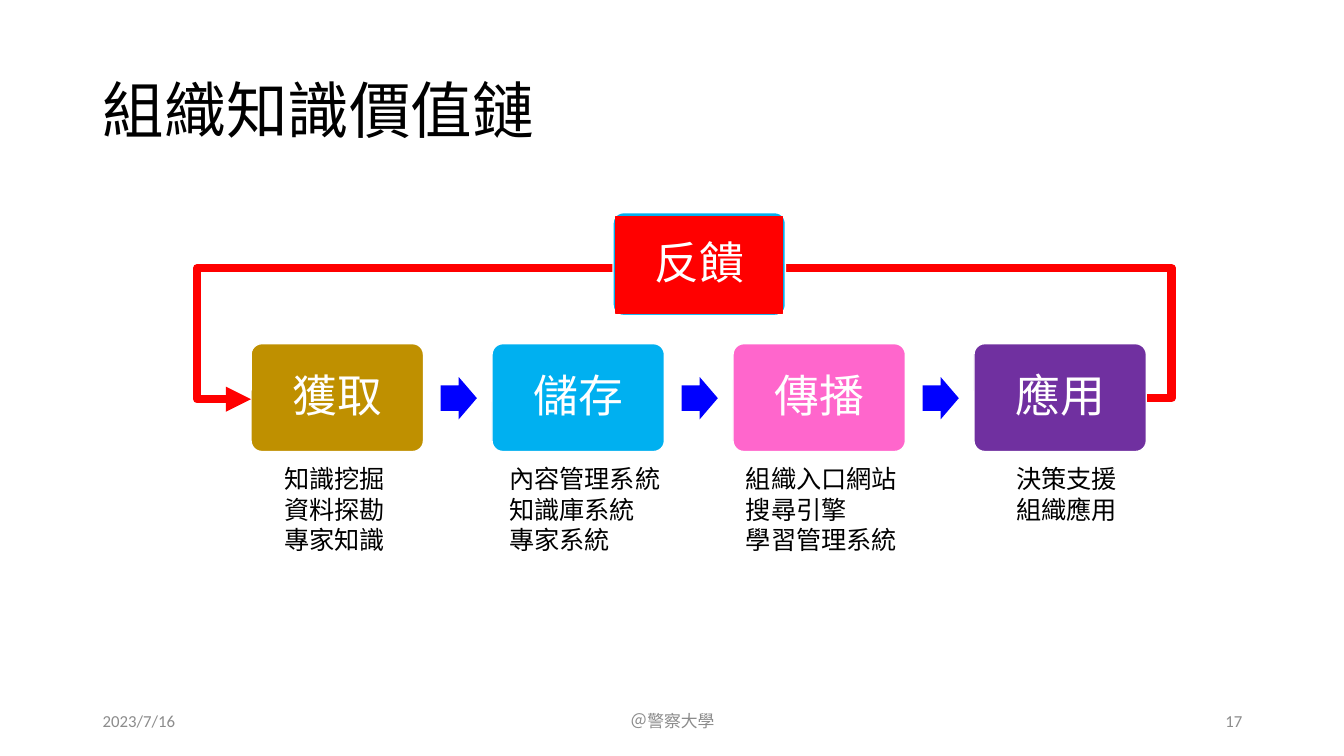
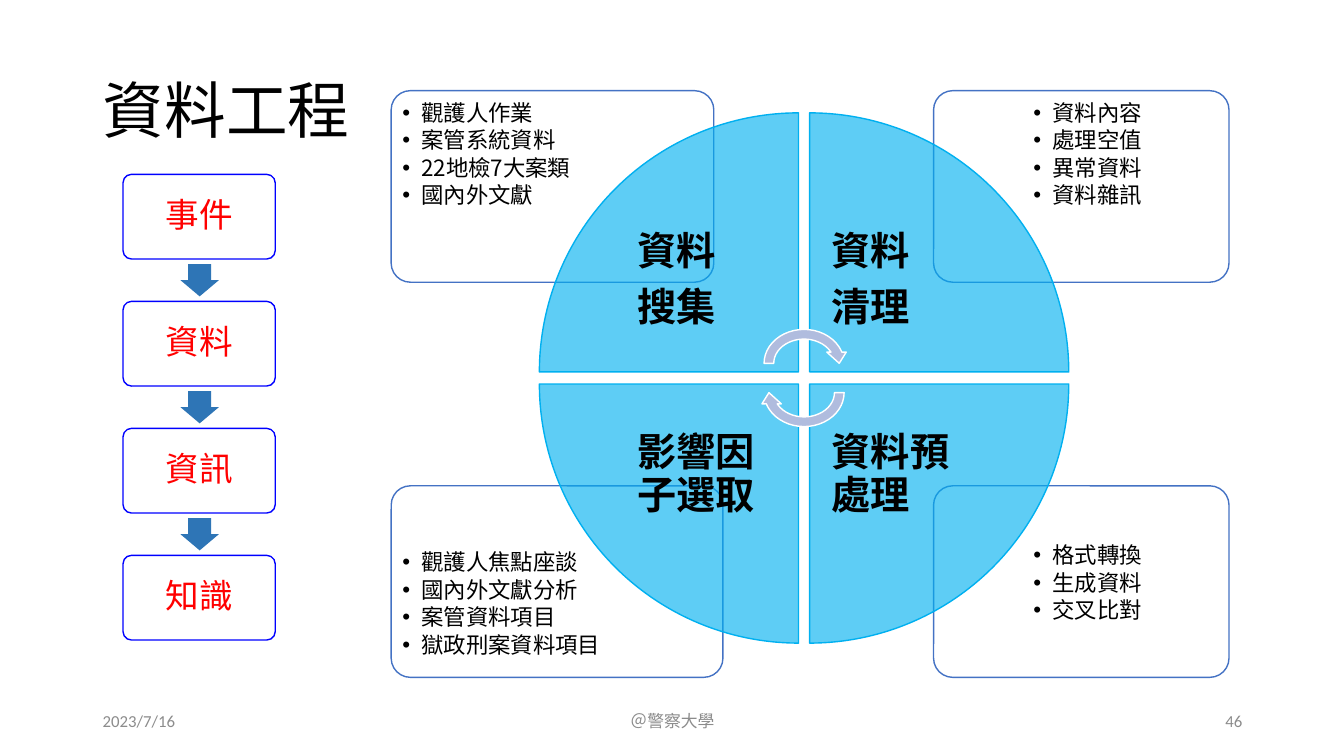
from pptx import Presentation
from pptx import util as u
from pptx.dml.color import RGBColor
from pptx.enum import shapes, text
from pptx.oxml.ns import qn
from lxml import etree

PX = 9144  # EMU per px: 100 px to the inch
HUES = {
    "ink": "000000", "white": "FFFFFF", "grey": "8C8C8C", "red": "FF0000",
    "gold": "BF9000", "sky": "00B0F0", "pink": "FF66CC", "plum": "7030A0",
    "blue": "0000FF", "edge": "4472C4", "steel": "2E75B6", "mist": "B0BCDE",
}
CJK, LATIN = "Noto Sans CJK TC", "Calibri"
KIND = shapes.MSO_SHAPE
LEFT, MID, RIGHT = text.PP_ALIGN.LEFT, text.PP_ALIGN.CENTER, text.PP_ALIGN.RIGHT
TOP, HALF = text.MSO_ANCHOR.TOP, text.MSO_ANCHOR.MIDDLE


def px(*nums):
    return [u.Emu(n * PX) for n in nums]


def hue(name):
    return RGBColor.from_string(HUES[name])


def sub(node, tag, **attrs):
    return etree.SubElement(node, qn(tag), attrs)


class Deck:
    """Holds the shared style and the slide being built."""

    def __init__(self):
        self.prs = Presentation()
        self.prs.slide_width, self.prs.slide_height = px(1333, 750)

    def page(self, title, num):
        self.slide = self.prs.slides.add_slide(self.prs.slide_layouts[5])
        head = self.slide.shapes.title
        head.left, head.top, head.width, head.height = px(92, 40, 1150, 145)
        self.words(head, [title], 44, anchor=HALF, lead=0.9)
        for x, w, line, side in ((92, 300, "2023/7/16", LEFT),
                                 (442, 450, "＠警察大學", MID),
                                 (942, 300, num, RIGHT)):
            self.label((x, 695, w, 40), [line], 12, "grey", font=LATIN,
                       side=side, anchor=HALF)

    def words(self, shape, lines, size, color="ink", font=CJK, side=LEFT,
              anchor=TOP, pad=None, lead=None, after=0, bold=False,
              dots=False, wrap=True):
        """Fill a shape with one paragraph a line; after is a share of size."""
        frame = shape.text_frame
        frame.word_wrap = wrap
        frame.auto_size = (text.MSO_AUTO_SIZE.NONE if wrap
                           else text.MSO_AUTO_SIZE.SHAPE_TO_FIT_TEXT)
        frame.vertical_anchor = anchor
        if pad is not None:
            frame.margin_left = frame.margin_right = px(pad)[0]
            frame.margin_top = frame.margin_bottom = px(pad)[0]
        for i, line in enumerate(lines):
            para = frame.add_paragraph() if i else frame.paragraphs[0]
            if dots:
                props = para._p.get_or_add_pPr()
                props.set("marL", str(19 * PX))
                props.set("indent", str(-19 * PX))
                sub(props, "a:buFont", typeface="Arial")
                sub(props, "a:buChar", char="•")
            para.alignment = side
            if lead:
                para.line_spacing = lead
            if after:
                para.space_after = u.Pt(round(size * after, 1))
            run = para.add_run()
            run.text = line
            run.font.size, run.font.bold = u.Pt(size), bold
            run.font.color.rgb = hue(color)
            run.font.name = font
            sub(run._r.get_or_add_rPr(), "a:ea", typeface=CJK)

    def label(self, box, lines, size, color="ink", **style):
        self.words(self.slide.shapes.add_textbox(*px(*box)), lines, size,
                   color, **style)

    def shape(self, kind, box, fill=None, edge=None, adj=(), turn=0,
              alpha=None):
        item = self.slide.shapes.add_shape(kind, *px(*box))
        item.shadow.inherit = False
        item.rotation = turn
        for i, part in enumerate(adj):
            item.adjustments[i] = part
        if fill:
            item.fill.solid()
            item.fill.fore_color.rgb = hue(fill)
            if alpha:
                tint = item._element.spPr.find(qn("a:solidFill"))[0]
                sub(tint, "a:alpha", val=str(alpha * 1000))
        else:
            item.fill.background()
        if edge:
            item.line.color.rgb = hue(edge)
            item.line.width = u.Pt(1)
        else:
            item.line.fill.background()
        return item

    def card(self, box, fill, edge, **style):
        return self.shape(KIND.ROUNDED_RECTANGLE, box, fill, edge, (0.1,),
                          **style)

    def arrow(self, box, fill, turn=0):
        self.shape(KIND.RIGHT_ARROW, box, fill, adj=(0.6, 0.5), turn=turn)

    def loop(self, start, end, bends, color, width):
        """Five-part elbow arrow; bends are right x, top y and left x."""
        link = self.slide.shapes.add_connector(
            shapes.MSO_CONNECTOR.ELBOW, *px(*start, *end))
        link.line.color.rgb = hue(color)
        link.line.width = u.Pt(width)
        props = link._element.spPr
        sub(props.find(qn("a:ln")), "a:tailEnd", type="triangle")
        sub(props, "a:effectLst")
        geom = props.find(qn("a:prstGeom"))
        geom.set("prst", "bentConnector5")
        guides = geom.find(qn("a:avLst"))
        if guides is None:
            guides = sub(geom, "a:avLst")
        for i, bend in enumerate(bends):
            axis = i % 2
            part = (bend - start[axis]) / (end[axis] - start[axis])
            sub(guides, "a:gd", name=f"adj{i + 1}",
                fmla=f"val {round(part * 100000)}")


def chain(deck):
    deck.page("組織知識價值鏈", "17")
    word = dict(side=MID, anchor=HALF, pad=16, lead=0.9, after=0.35)
    steps = (
        ("獲取", "gold", 272, 121, ["知識挖掘", "資料探勘", "專家知識"]),
        ("儲存", "sky", 495, 172, ["內容管理系統", "知識庫系統", "專家系統"]),
        ("傳播", "pink", 730, 172, ["組織入口網站", "搜尋引擎", "學習管理系統"]),
        ("應用", "plum", 998, 121, ["決策支援", "組織應用"]),
    )
    for i, (name, fill, x, w, notes) in enumerate(steps):
        left = 249 + 239 * i
        box = deck.card((left, 341, 171, 107), fill, "white")
        deck.words(box, [name], 32, "white", **word)
        if i < len(steps) - 1:
            deck.arrow((left + 188, 374, 36, 42), "blue")
        deck.label((x, 455, w, 11 + 30 * len(notes)), notes, 18, font=LATIN,
                   wrap=False)
    deck.loop((1138, 395), (249, 396), (1162, 264, 196), "red", 6)
    deck.card((608, 211, 171, 102), "sky", "white")
    back = deck.shape(KIND.RECTANGLE, (611, 215, 165, 96), "red", "red")
    deck.words(back, ["反饋"], 32, "white", **word)


def cycle(deck):
    deck.page("資料工程", "46")
    panels = (
        (926, 482, 293, (1018, 533, 197, 134), TOP,
         ["格式轉換", "生成資料", "交叉比對"]),
        (388, 482, 329, (392, 533, 222, 134), HALF,
         ["觀護人焦點座談", "國內外文獻分析", "案管資料項目", "獄政刑案資料項目"]),
        (926, 90, 293, (1018, 94, 197, 134), TOP,
         ["資料內容", "處理空值", "異常資料", "資料雜訊"]),
        (388, 90, 320, (392, 94, 216, 134), TOP,
         ["觀護人作業", "案管系統資料", "22地檢7大案類", "國內外文獻"]),
    )
    for x, y, w, box, anchor, items in panels:
        deck.card((x, y, w, 190), "white", "edge", alpha=90)
        deck.label(box, items, 16, anchor=anchor, pad=7, lead=0.9,
                   after=0.15, dots=True)

    wedges = (
        (535, 112, 610, 188, ["資料", "搜集"]),
        (803, 112, 803, 188, ["資料", "清理"]),
        (803, 381, 803, 381, ["資料預處理"]),
        (535, 381, 610, 381, ["影響因子選取"]),
    )
    for i, (x, y, left, top, lines) in enumerate(wedges):
        deck.shape(KIND.PIE_WEDGE, (x, y, 257, 257), "sky", "sky",
                   turn=90 * i, alpha=63)
        deck.label((left, top, 181, 181), lines, 28, anchor=HALF, pad=22,
                   lead=0.9, after=0.35, bold=True)
    for y, turn in ((322, 0), (351, 180)):
        deck.shape(KIND.CIRCULAR_ARROW, (753, y, 89, 77), "mist", "white",
                   turn=turn)

    stages = ("事件", "資料", "資訊", "知識")
    for i, name in enumerate(stages):
        top = 173 + 126 * i
        box = deck.card((122, top, 151, 84), None, "blue")
        deck.words(box, [name], 24, "red", font=LATIN, side=MID, anchor=HALF,
                   pad=12, lead=0.9, after=0.35)
        if i < len(stages) - 1:
            deck.arrow((182, top + 86, 32, 38), "steel", turn=90)


def main():
    deck = Deck()
    chain(deck)
    cycle(deck)
    deck.prs.save("out.pptx")


if __name__ == "__main__":
    main()
